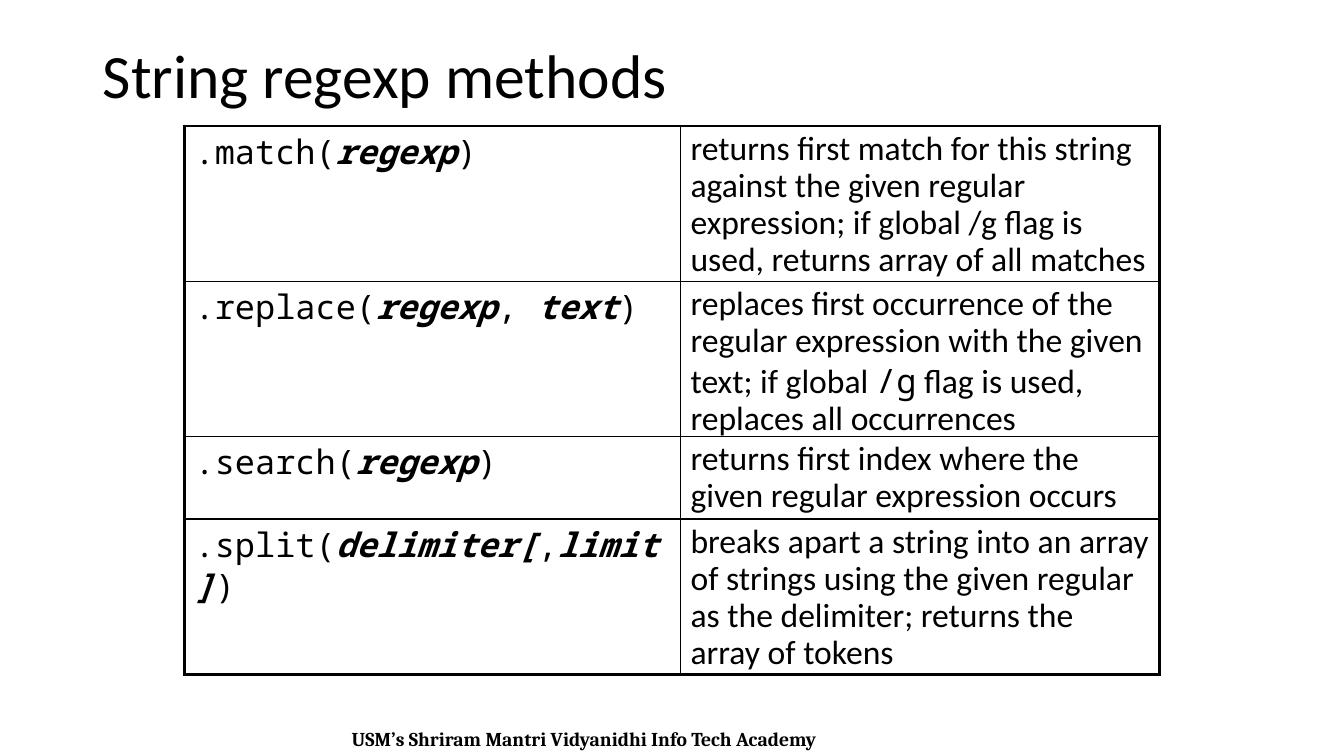
from pptx import Presentation
from pptx.dml.color import RGBColor
from pptx.enum.text import MSO_ANCHOR, MSO_AUTO_SIZE, PP_ALIGN
from pptx.util import Inches, Pt
from lxml.etree import SubElement
from pptx.oxml.ns import qn

BLACK = RGBColor(0, 0, 0)
SANS, SERIF, MONO = "Calibri", "Cambria", "Noto Sans Mono"
THICK, THIN = 2.25, 1

ROWS = [
    ([".match(", "regexp", ")"],
     ["returns first match for this string against the given regular "
      "expression; if global /g flag is used, returns array of all matches"]),
    ([".replace(", "regexp", ", ", "text", ")"],
     ["replaces first occurrence of the regular expression with the given "
      "text; if global ", "/g", " flag is used, replaces all occurrences"]),
    ([".search(", "regexp", ")"],
     ["returns first index where the given regular expression occurs"]),
    ([".split(", "delimiter[", ",", "limit]", ")"],
     ["breaks apart a string into an array of strings using the given "
      "regular as the delimiter; returns the array of tokens"]),
]
WIDTHS = [4.92, 4.75]
HEIGHTS = [1.54, 1.54, 0.82, 1.54]


def write(para, text, font=SANS, size=24, bold=False, italic=False,
          align=PP_ALIGN.LEFT, space=0.9):
    para.alignment = align
    para.line_spacing = space
    run = para.add_run()
    run.text = text
    run.font.name = font
    run.font.size = Pt(size)
    run.font.bold = bold
    run.font.italic = italic
    run.font.color.rgb = BLACK


class Deck:
    def __init__(self):
        self.show = Presentation()
        self.show.slide_width = Inches(13.33)
        self.show.slide_height = Inches(7.5)
        self.slide = self.show.slides.add_slide(self.show.slide_layouts[5])

    def title(self, text, left, top, width, height):
        shape = self.slide.shapes.title
        shape.left, shape.top = Inches(left), Inches(top)
        shape.width, shape.height = Inches(width), Inches(height)
        frame = shape.text_frame
        frame.auto_size = MSO_AUTO_SIZE.NONE
        frame.vertical_anchor = MSO_ANCHOR.TOP
        write(frame.paragraphs[0], text, size=44)

    def label(self, text, left, top, width, height, **style):
        box = self.slide.shapes.add_textbox(
            Inches(left), Inches(top), Inches(width), Inches(height))
        box.text_frame.word_wrap = True
        write(box.text_frame.paragraphs[0], text, **style)

    def edge(self, cell, side, width):
        line = SubElement(cell._tc.get_or_add_tcPr(), qn(f"a:ln{side}"),
                          w=str(Pt(width)))
        fill = SubElement(line, qn("a:solidFill"))
        SubElement(fill, qn("a:srgbClr"), val=str(BLACK))

    def table(self, rows, left, top, widths, heights):
        grid = self.slide.shapes.add_table(
            len(rows), len(widths), Inches(left), Inches(top),
            Inches(sum(widths)), Inches(sum(heights))).table
        grid.first_row = grid.horz_banding = False
        for col, width in zip(grid.columns, widths):
            col.width = Inches(width)
        for row, height in zip(grid.rows, heights):
            row.height = Inches(height)
        for i, (call, note) in enumerate(rows):
            code, prose = grid.cell(i, 0), grid.cell(i, 1)
            for n, part in enumerate(call):
                write(code.text_frame.paragraphs[0], part, font=MONO,
                      bold=n % 2 == 1, italic=n % 2 == 1)
            for n, part in enumerate(note):
                write(prose.text_frame.paragraphs[0], part,
                      font=MONO if n % 2 else SANS)
            for cell in (code, prose):
                outer = {"L": cell is code, "R": cell is prose,
                         "T": i == 0, "B": i == len(rows) - 1}
                for side, rim in outer.items():
                    self.edge(cell, side, THICK if rim else THIN)
                cell.fill.background()


def main():
    deck = Deck()
    deck.label("USM’s Shriram Mantri Vidyanidhi Info Tech Academy",
               1.26, 7.16, 9.07, 0.34, font=SERIF, size=14, bold=True,
               align=PP_ALIGN.CENTER, space=1.0)
    deck.title("String regexp methods", 0.92, 0.4, 11.5, 1.45)
    deck.table(ROWS, 1.83, 1.25, WIDTHS, HEIGHTS)
    deck.show.save("out.pptx")


if __name__ == "__main__":
    main()
